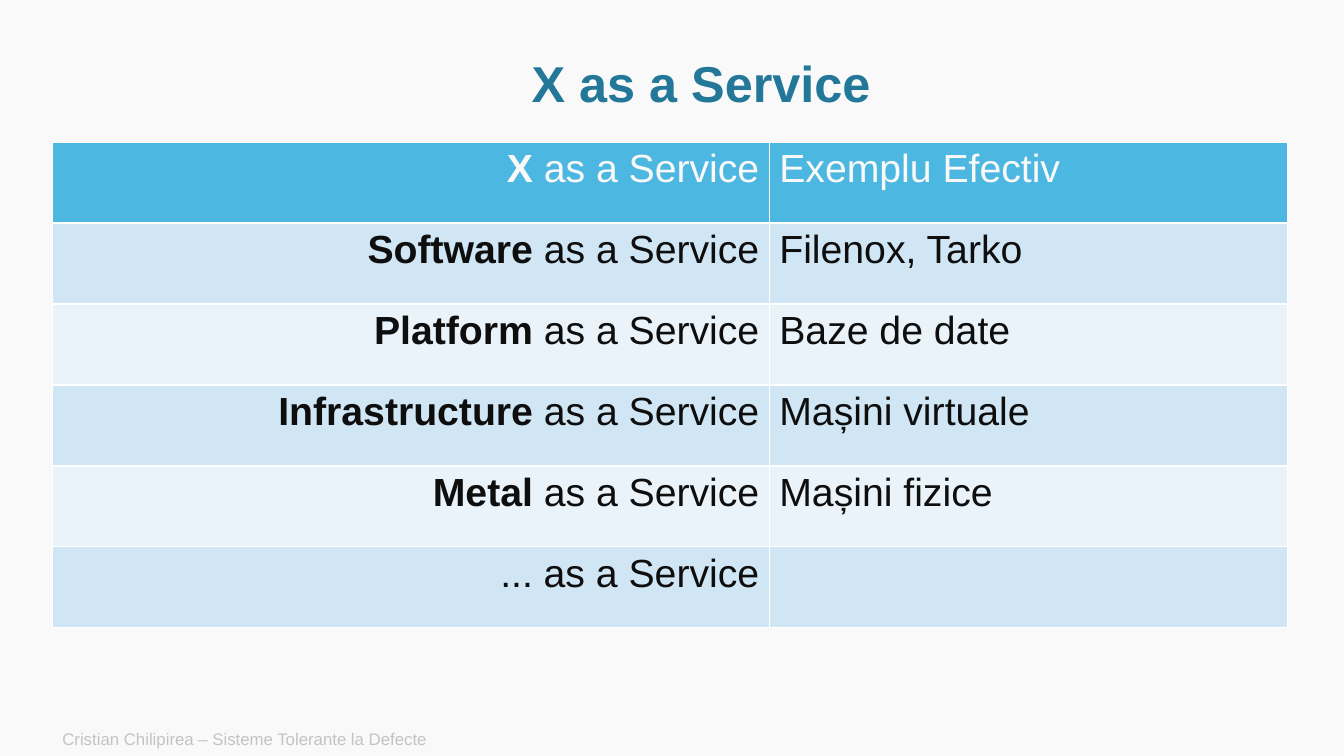
from dataclasses import dataclass

from lxml import etree
from pptx import Presentation
from pptx.dml.color import RGBColor
from pptx.enum.text import MSO_ANCHOR, PP_ALIGN
from pptx.oxml.ns import qn
from pptx.util import Inches, Pt

LEFT, CENTER, RIGHT = PP_ALIGN.LEFT, PP_ALIGN.CENTER, PP_ALIGN.RIGHT
MIDDLE = MSO_ANCHOR.MIDDLE

SERVICES = [
    ("X", " as a Service", "Exemplu Efectiv"),
    ("Software", " as a Service", "Filenox, Tarko"),
    ("Platform", " as a Service", "Baze de date"),
    ("Infrastructure", " as a Service", "Mașini virtuale"),
    ("Metal", " as a Service", "Mașini fizice"),
    ("", "... as a Service", ""),
]


@dataclass(frozen=True)
class Theme:
    """Colours, font and type sizes of the slide."""
    font: str = "Arial"
    background: str = "F9F9F9"
    title: str = "237798"
    header: str = "4CB7E1"
    header_text: str = "F9F9F9"
    body_text: str = "0E0E0E"
    bands: tuple = ("D0E6F4", "E9F3F9")
    border: str = "FFFFFF"
    footer: str = "C3C3C3"
    title_size: int = 36
    table_size: int = 28
    footer_size: int = 12


def add_text(p, text, *, font, size, color, bold=False, align=LEFT):
    """Append a formatted run to a paragraph."""
    p.alignment = align
    r = p.add_run()
    r.text = text
    r.font.name = font
    r.font.size = Pt(size)
    r.font.bold = bold
    r.font.color.rgb = RGBColor.from_string(color)


def set_borders(cell, color, width):
    """Draw the four borders of a cell ahead of its fill."""
    tc_pr = cell._tc.get_or_add_tcPr()
    for i, side in enumerate(("lnL", "lnR", "lnT", "lnB")):
        ln = etree.Element(qn(f"a:{side}"), w=str(Pt(width)))
        fill = etree.SubElement(ln, qn("a:solidFill"))
        etree.SubElement(fill, qn("a:srgbClr"), val=color)
        tc_pr.insert(i, ln)


class SlideBuilder:
    """Place styled elements on one slide."""

    def __init__(self, slide, theme):
        """Keep the slide and theme and paint the background."""
        self.slide = slide
        self.theme = theme
        fill = slide.background.fill
        fill.solid()
        fill.fore_color.rgb = RGBColor.from_string(theme.background)

    def text(self, text, x, y, w, h, line_spacing=1.0, **style):
        """Add a vertically centred text box."""
        sp = self.slide.shapes.add_textbox(
            Inches(x), Inches(y), Inches(w), Inches(h))
        tf = sp.text_frame
        tf.word_wrap = True
        tf.vertical_anchor = MIDDLE
        p = tf.paragraphs[0]
        p.line_spacing = line_spacing
        add_text(p, text, font=self.theme.font, **style)

    def table(self, rows, x, y, widths, height):
        """Add the banded table of services and examples."""
        t = self.theme
        table = self.slide.shapes.add_table(
            len(rows), len(widths), Inches(x), Inches(y),
            Inches(sum(widths)), Inches(height)).table
        for column, width in zip(table.columns, widths):
            column.width = Inches(width)
        for i, (name, suffix, example) in enumerate(rows):
            fill = t.bands[(i - 1) % 2] if i else t.header
            color = t.body_text if i else t.header_text
            cells = (((name, True), (suffix, False)), ((example, False),))
            for j, (runs, align) in enumerate(zip(cells, (RIGHT, LEFT))):
                cell = table.cell(i, j)
                cell.fill.solid()
                cell.fill.fore_color.rgb = RGBColor.from_string(fill)
                set_borders(cell, t.border, 1)
                for text, bold in runs:
                    if text:
                        add_text(cell.text_frame.paragraphs[0], text,
                                 font=t.font, size=t.table_size, color=color,
                                 bold=bold, align=align)


def main():
    """Build and save the slide."""
    prs = Presentation()
    prs.slide_width, prs.slide_height = Inches(13.33), Inches(7.5)
    theme = Theme()
    s = SlideBuilder(prs.slides.add_slide(prs.slide_layouts[6]), theme)
    s.text("X as a Service", 1.14, 0.51, 11.63, 0.69, line_spacing=0.9,
           size=theme.title_size, color=theme.title, bold=True, align=CENTER)
    s.table(SERVICES, 0.52, 1.41, (7.11, 5.14), 4.82)
    s.text("Cristian Chilipirea – Sisteme Tolerante la Defecte",
           0.52, 7.16, 8.4, 0.34, size=theme.footer_size, color=theme.footer)
    prs.save("out.pptx")


if __name__ == "__main__":
    main()
